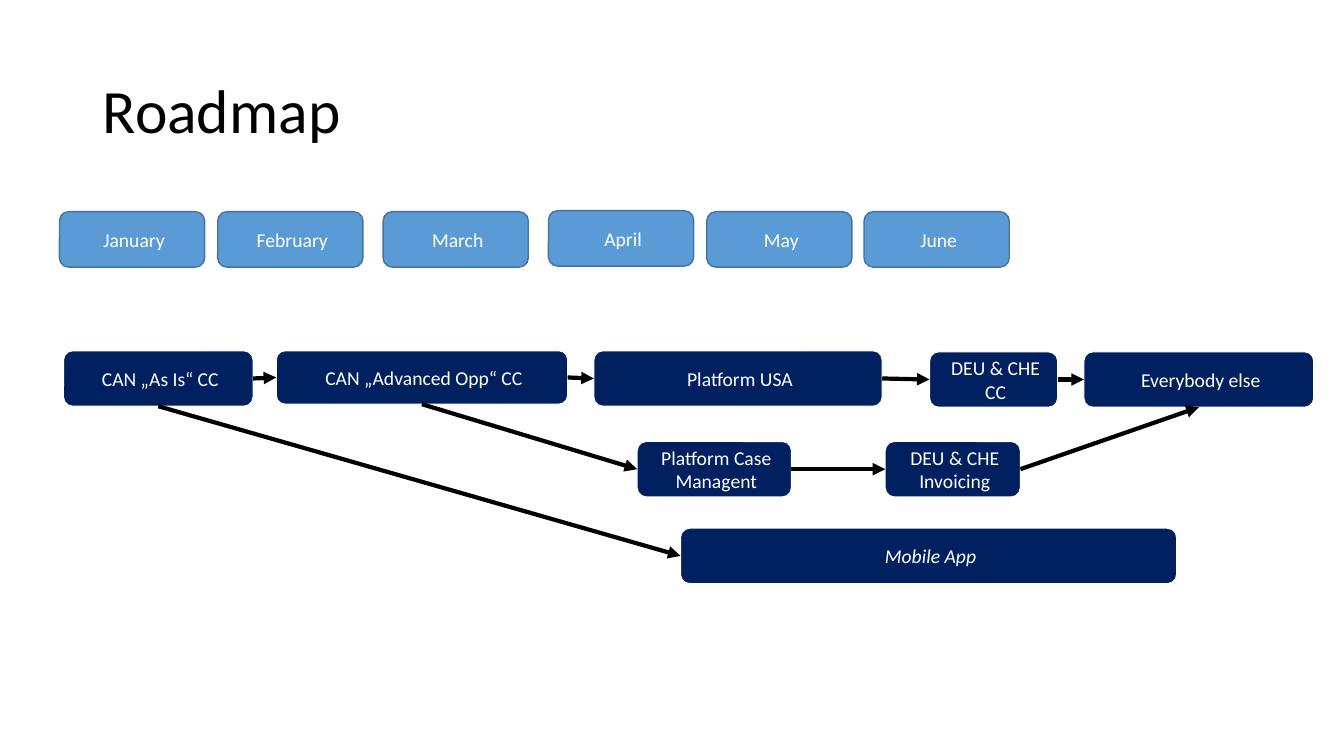
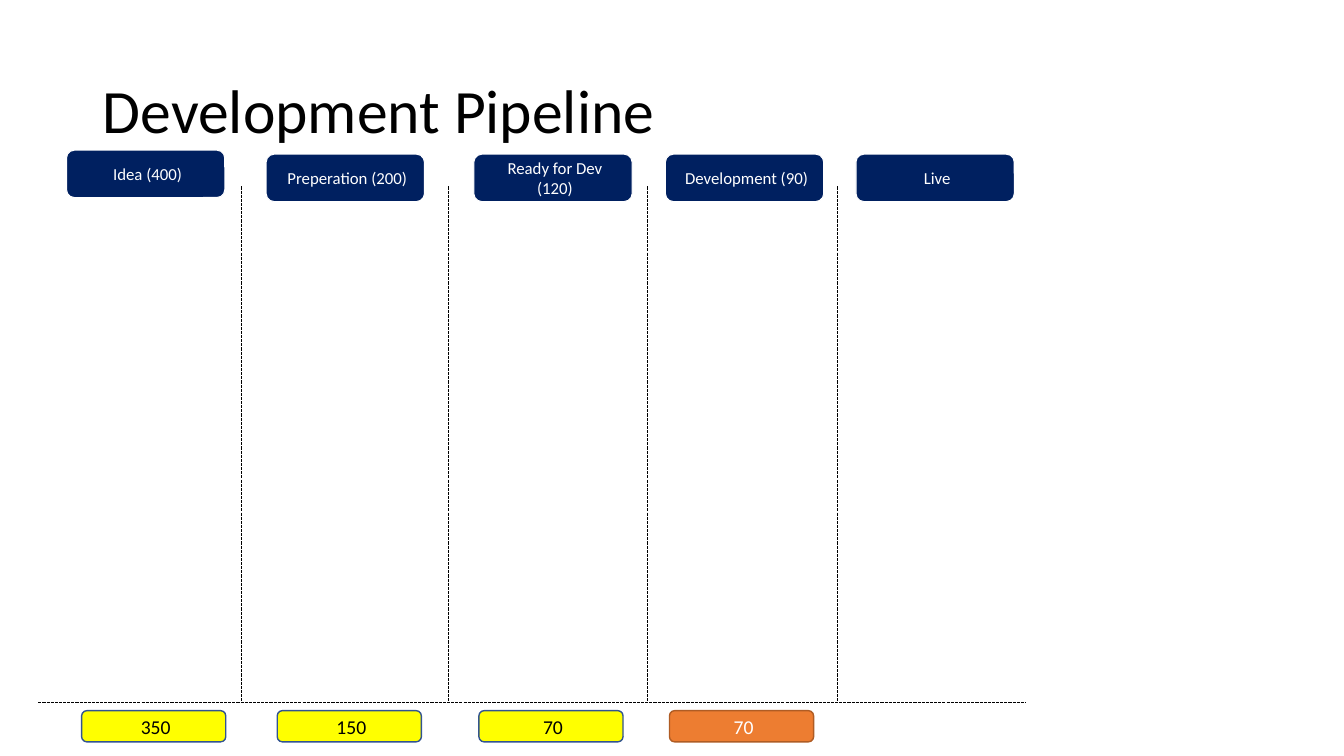
from dataclasses import dataclass

from lxml import etree
from pptx import Presentation
from pptx import util as u
from pptx.dml.color import RGBColor
from pptx.enum import dml, shapes, text
from pptx.oxml.ns import qn

TOP, LEFT, BOTTOM, RIGHT = range(4)


@dataclass(frozen=True)
class BoxStyle:
    fill: str
    line: str
    line_width: float
    text: str
    size: int


@dataclass(frozen=True)
class Theme:
    font: str = "Calibri"
    ink: str = "000000"
    title_size: int = 44
    arrow_width: float = 3
    divider_width: float = 0.75
    month: BoxStyle = BoxStyle("5B9BD5", "43739E", 1, "FFFFFF", 14)
    task: BoxStyle = BoxStyle("002060", "FFFFFF", 0.75, "FFFFFF", 14)
    stage: BoxStyle = BoxStyle("002060", "FFFFFF", 0.75, "FFFFFF", 12)
    count: BoxStyle = BoxStyle("FFFF00", "325491", 1, "000000", 14)
    alert: BoxStyle = BoxStyle("ED7D31", "AF5C24", 1, "FFFFFF", 14)


THEME = Theme()


def px(value):
    return u.Emu(value * 9144)


def apply(target, **values):
    for name, value in values.items():
        setattr(target, name, value)


def format_font(font, size, colour, italic=False):
    apply(font, name=THEME.font, size=u.Pt(size), italic=italic)
    font.color.rgb = RGBColor.from_string(colour)


def add_titled_slide(presentation, title):
    slide = presentation.slides.add_slide(presentation.slide_layouts[5])
    shape = slide.shapes.title
    apply(shape, left=px(92), top=px(40), width=px(1150), height=px(145))
    frame = shape.text_frame
    frame.text = title
    frame.vertical_anchor = text.MSO_ANCHOR.MIDDLE
    paragraph = frame.paragraphs[0]
    apply(paragraph, alignment=text.PP_ALIGN.LEFT, line_spacing=0.9)
    format_font(paragraph.runs[0].font, THEME.title_size, THEME.ink)
    return slide


def add_box(slide, label, bounds, style, italic=False):
    shape = slide.shapes.add_shape(
        shapes.MSO_SHAPE.ROUNDED_RECTANGLE, *map(px, bounds))
    shape.shadow.inherit = False
    shape.fill.solid()
    shape.fill.fore_color.rgb = RGBColor.from_string(style.fill)
    shape.line.color.rgb = RGBColor.from_string(style.line)
    shape.line.width = u.Pt(style.line_width)
    frame = shape.text_frame
    frame.text = label
    apply(frame, word_wrap=True, vertical_anchor=text.MSO_ANCHOR.MIDDLE,
          margin_left=px(12), margin_right=px(8),
          margin_top=px(10), margin_bottom=px(10))
    paragraph = frame.paragraphs[0]
    paragraph.alignment = text.PP_ALIGN.CENTER
    format_font(paragraph.runs[0].font, style.size, style.text, italic)
    return shape


def add_line(slide, width, start=(0, 0), end=(0, 0)):
    connector = slide.shapes.add_connector(
        shapes.MSO_CONNECTOR.STRAIGHT, *map(px, start + end))
    connector.line.color.rgb = RGBColor.from_string(THEME.ink)
    connector.line.width = u.Pt(width)
    etree.SubElement(connector.element.spPr, qn("a:effectLst"))
    return connector


def add_arrow(slide, source, source_side, target, target_side):
    connector = add_line(slide, THEME.arrow_width)
    connector.begin_connect(source, source_side)
    connector.end_connect(target, target_side)
    outline = connector.element.spPr.find(qn("a:ln"))
    etree.SubElement(outline, qn("a:tailEnd"), type="triangle")


def add_divider(slide, start, end):
    connector = add_line(slide, THEME.divider_width, start, end)
    connector.line.dash_style = dml.MSO_LINE.SQUARE_DOT


def build_roadmap(presentation):
    slide = add_titled_slide(presentation, "Roadmap")
    months = [("January", 59, 210), ("February", 216, 210),
              ("March", 380, 210), ("April", 544, 209),
              ("May", 701, 210), ("June", 857, 210)]
    for label, left, top in months:
        add_box(slide, label, (left, top, 144, 55), THEME.month)

    tasks = {
        "as_is": ("CAN „As Is“ CC", (63, 348, 188, 55)),
        "advanced": ("CAN „Advanced Opp“ CC", (274, 348, 289, 53)),
        "usa": ("Platform USA", (589, 348, 286, 55)),
        "case": ("Platform Case Managent", (632, 438, 153, 55)),
        "rollout": ("DEU & CHE CC", (922, 349, 127, 55)),
        "invoicing": ("DEU & CHE Invoicing", (878, 438, 134, 55)),
        "everybody": ("Everybody else", (1075, 349, 228, 55)),
        "mobile": ("Mobile App", (675, 524, 492, 55)),
    }
    boxes = {name: add_box(slide, label, bounds, THEME.task, name == "mobile")
             for name, (label, bounds) in tasks.items()}
    links = [
        ("as_is", RIGHT, "advanced", LEFT),
        ("as_is", BOTTOM, "mobile", LEFT),
        ("advanced", BOTTOM, "case", LEFT),
        ("advanced", RIGHT, "usa", LEFT),
        ("usa", RIGHT, "rollout", LEFT),
        ("case", RIGHT, "invoicing", LEFT),
        ("rollout", RIGHT, "everybody", LEFT),
        ("invoicing", RIGHT, "everybody", BOTTOM),
    ]
    for source, source_side, target, target_side in links:
        add_arrow(slide, boxes[source], source_side,
                  boxes[target], target_side)


def build_pipeline(presentation):
    slide = add_titled_slide(presentation, "Development Pipeline")
    stages = [("Idea (400)", 66, 149), ("Preperation (200)", 264, 153),
              ("Ready for Dev (120)", 470, 153),
              ("Development (90)", 660, 153), ("Live", 849, 153)]
    for label, left, top in stages:
        add_box(slide, label, (left, top, 157, 47), THEME.stage)

    baseline = 697
    add_divider(slide, (38, baseline), (1018, baseline))
    for x in (240, 445, 642, 831):
        add_divider(slide, (x, 185), (x, baseline))

    counts = [("350", 81, THEME.count), ("150", 275, THEME.count),
              ("70", 475, THEME.count), ("70", 664, THEME.alert)]
    for label, left, style in counts:
        add_box(slide, label, (left, 705, 143, 31), style)


def main():
    presentation = Presentation()
    apply(presentation, slide_width=px(1333), slide_height=px(750))
    build_roadmap(presentation)
    build_pipeline(presentation)
    presentation.save("out.pptx")


if __name__ == "__main__":
    main()
